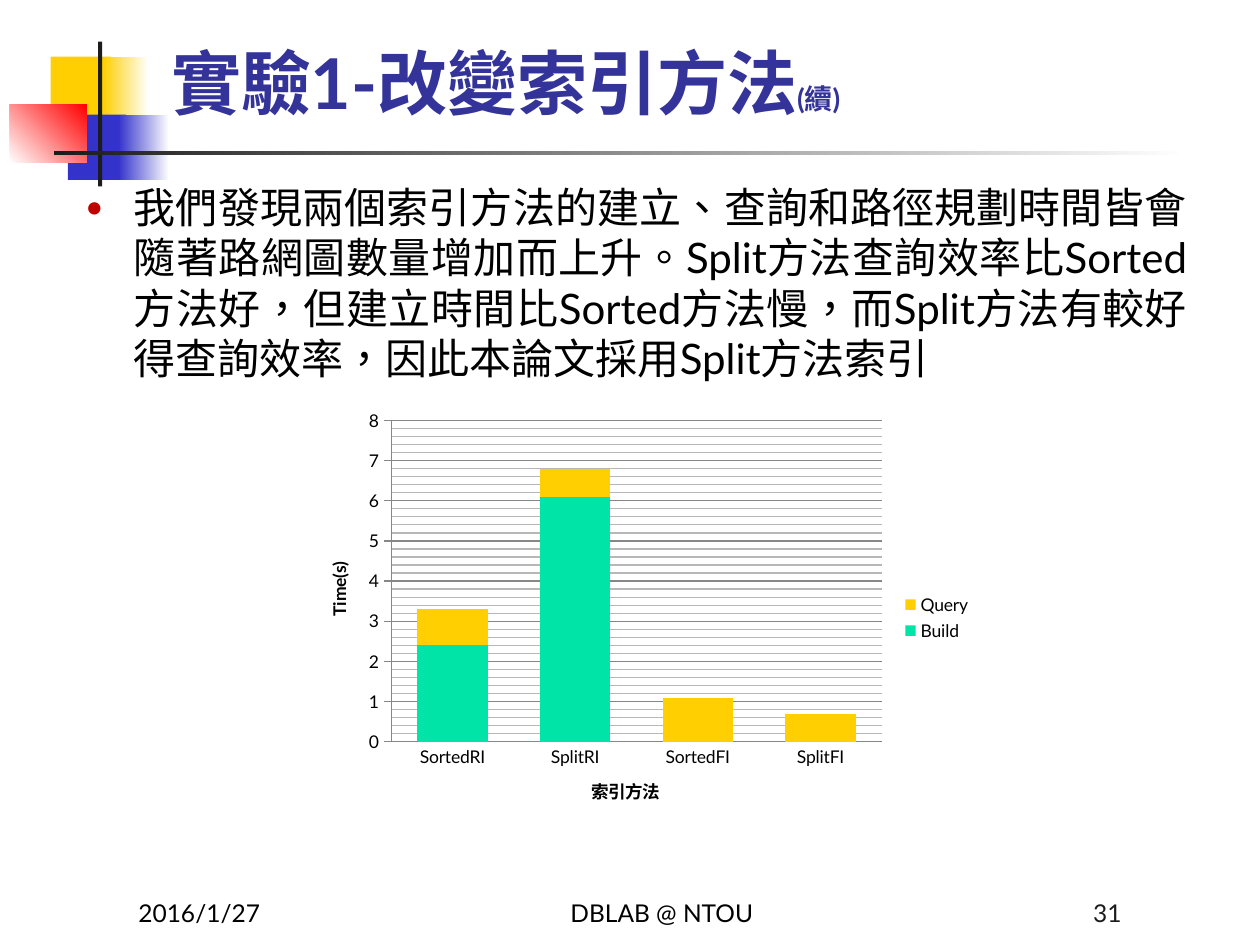
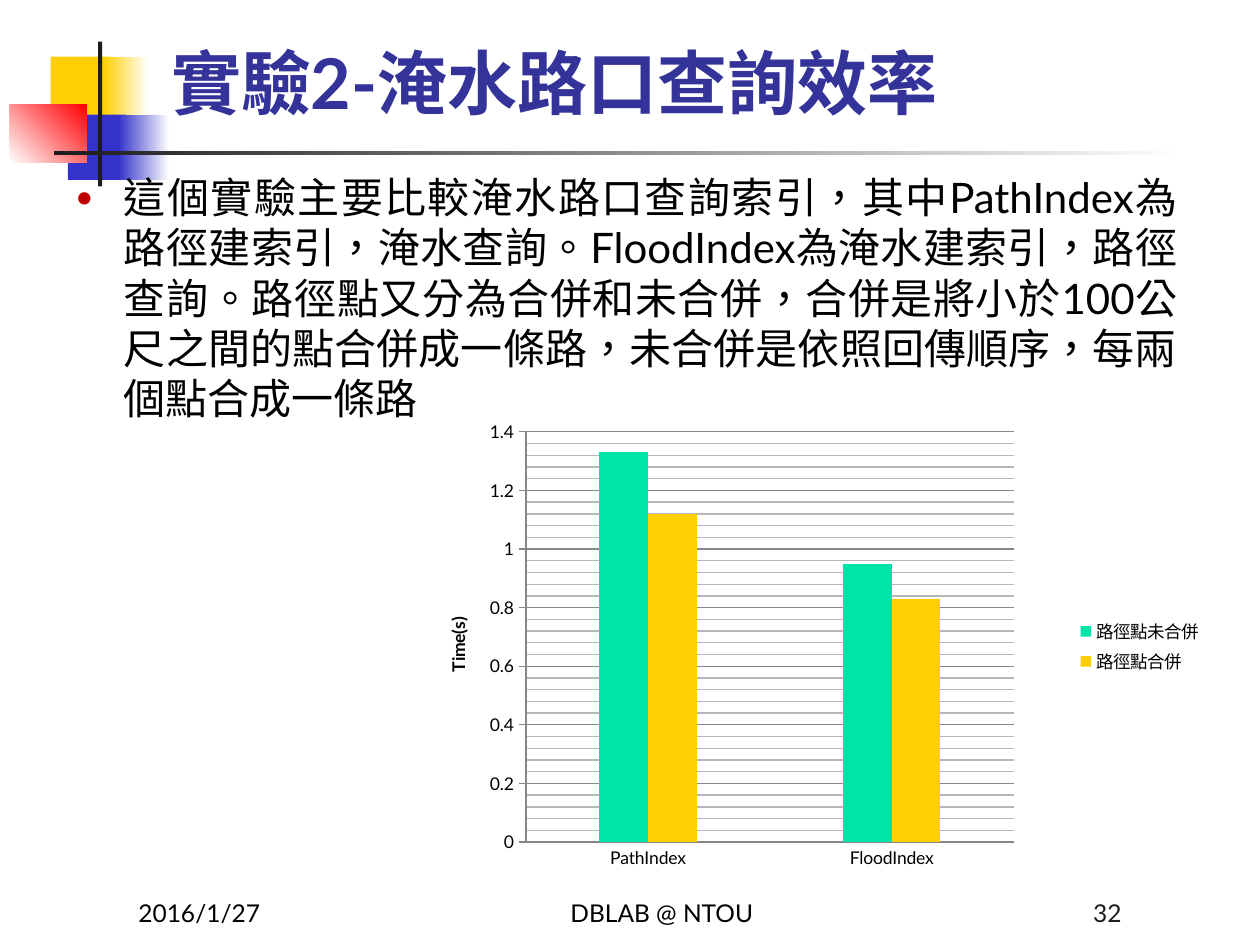
import copy

import lxml.etree
import pptx
import pptx.chart.data
import pptx.dml.color
import pptx.enum.chart
import pptx.enum.shapes
import pptx.enum.text
import pptx.oxml
import pptx.oxml.ns
import pptx.util

Cm = pptx.util.Cm
Pt = pptx.util.Pt
qn = pptx.oxml.ns.qn
ALIGN = pptx.enum.text.PP_ALIGN
ANCHOR = pptx.enum.text.MSO_ANCHOR
CHART = pptx.enum.chart

FONT = "Lato"
CJK_FONT = "Noto Sans CJK TC"
BLACK, INK, WHITE = "000000", "1C1C1C", "FFFFFF"
YELLOW, BLUE, RED, GREEN = "FFCF01", "3333CC", "FF0000", "00E4A8"
TITLE_BLUE, BULLET_RED = "333399", "C00000"
GRID, MINOR_GRID = "878787", "B7B7B7"

TITLE_BOX = (3.2, 0.43, 21.64, 2.18)
FOOTER_BOX = (2.54, 17.55, 20.32, 1.27)
EMBLEM_CORNER = (0.2, 0.84)

EMBLEM_PARTS = [
    (0.82, 0.3, 1.22, 1.32, [YELLOW], 0),
    (1.88, 0.3, 0.91, 1.32, [YELLOW, WHITE], 0),
    (1.17, 1.47, 1.17, 1.32, [BLUE], 0),
    (2.19, 1.47, 1.02, 1.32, [BLUE, WHITE], 0),
    (0, 1.27, 1.55, 1.17, [WHITE, RED], 45),
    (1.78, 0, 0.08, 2.92, [INK], 0),
    (0.89, 2.21, 22.86, 0.08, [INK, WHITE], 0),
]


def rgb(value):
    """Turn a hex string into a colour."""
    return pptx.dml.color.RGBColor.from_string(value)


def style_run(run, size, color, bold=False, font=FONT):
    """Give a run its font, size, colour and language."""
    run.font.name = font
    run.font.size = Pt(size)
    run.font.bold = bold
    run.font.color.rgb = rgb(color)
    properties = run._r.get_or_add_rPr()
    properties.set("lang", "zh-TW")
    east_asian = lxml.etree.Element(qn("a:ea"), typeface=font)
    properties.find(qn("a:latin")).addnext(east_asian)


def add_text(slide, box, pieces, anchor=ANCHOR.TOP, align=ALIGN.LEFT):
    """Add one wrapped paragraph of (text, run style) pieces and return it."""
    frame = slide.shapes.add_textbox(*map(Cm, box)).text_frame
    frame.word_wrap = True
    frame.vertical_anchor = anchor
    paragraph = frame.paragraphs[0]
    paragraph.alignment = align
    for text, style in pieces:
        run = paragraph.add_run()
        run.text = text
        style_run(run, **style)
    return paragraph


def add_emblem(slide, corner):
    """Draw the coloured squares and crossing rules from a corner."""
    for left, top, width, height, colors, angle in EMBLEM_PARTS:
        part = slide.shapes.add_shape(
            pptx.enum.shapes.MSO_SHAPE.RECTANGLE,
            Cm(corner[0] + left), Cm(corner[1] + top), Cm(width), Cm(height))
        part.shadow.inherit = False
        part.line.fill.background()
        if len(colors) == 1:
            part.fill.solid()
            part.fill.fore_color.rgb = rgb(colors[0])
            continue
        part.fill.gradient()
        part.fill.gradient_angle = angle
        for stop, color in zip(part.fill.gradient_stops, colors):
            stop.color.rgb = rgb(color)


def add_title(slide, box, title, suffix=""):
    """Write the heading, with an optional small suffix."""
    pieces = [(title, dict(size=40, color=TITLE_BLUE, bold=True))]
    if suffix:
        pieces.append((suffix, dict(size=16, color=TITLE_BLUE, bold=True)))
    add_text(slide, box, pieces, ANCHOR.BOTTOM)


def add_footer(slide, box, number):
    """Write date, laboratory and page number along the bottom."""
    left, top, width, height = box
    side, middle, middle_offset = 5.28, 8.05, 6.78
    entries = [
        ("2016/1/27", 0, side, ALIGN.LEFT, BLACK),
        ("DBLAB @ NTOU", middle_offset, middle, ALIGN.CENTER, BLACK),
        (str(number), width - side, side, ALIGN.RIGHT, INK),
    ]
    for text, offset, entry_width, align, color in entries:
        add_text(slide, (left + offset, top, entry_width, height),
                 [(text, dict(size=14, color=color))], ANCHOR.BOTTOM, align)


def add_finding(slide, box, texts):
    """Write the justified bullet from (text, font) pairs."""
    pieces = [(text, dict(size=24, color=BLACK, font=font)) for text, font in texts]
    paragraph = add_text(slide, box, pieces, align=ALIGN.JUSTIFY)
    properties = paragraph._p.get_or_add_pPr()
    properties.set("marL", str(Cm(0.95)))
    properties.set("indent", str(Cm(-0.95)))
    bullet_color = lxml.etree.SubElement(properties, qn("a:buClr"))
    lxml.etree.SubElement(bullet_color, qn("a:srgbClr"), val=BULLET_RED)
    lxml.etree.SubElement(properties, qn("a:buSzPct"), val="60000")
    lxml.etree.SubElement(properties, qn("a:buFont"), typeface=FONT)
    lxml.etree.SubElement(properties, qn("a:buChar"), char="●")


def title_axis(axis, title):
    """Label an axis in small bold type."""
    paragraph = axis.axis_title.text_frame.paragraphs[0]
    run = paragraph.add_run()
    run.text = title
    style_run(run, 10, BLACK, bold=True)


def color_minor_gridlines(axis, color):
    """Style the minor gridlines like the major ones in another colour."""
    major = axis._element.find(qn("c:majorGridlines"))
    minor = axis._element.find(qn("c:minorGridlines"))
    minor.append(copy.deepcopy(major.find(qn("c:spPr"))))
    next(minor.iter(qn("a:srgbClr"))).set("val", color)


def place_plot(chart, plot_box):
    """Fix the inner plot area as fractions of the chart."""
    area = chart._chartSpace.chart.plotArea
    for old in area.findall(qn("c:layout")):
        area.remove(old)
    layout = lxml.etree.Element(qn("c:layout"))
    manual = lxml.etree.SubElement(layout, qn("c:manualLayout"))
    settings = [("layoutTarget", "inner"), ("xMode", "edge"), ("yMode", "edge")]
    settings += zip("xywh", map(str, plot_box))
    for tag, value in settings:
        lxml.etree.SubElement(manual, qn("c:" + tag), val=value)
    area.insert(0, layout)


def add_timing_chart(slide, box, kind, categories, series, gap, overlap,
                     top_value, step, plot_box, category_title=""):
    """Draw a column chart of times in seconds."""
    data = pptx.chart.data.CategoryChartData()
    data.categories = categories
    for name, values, _ in series:
        data.add_series(name, values)
    chart = slide.shapes.add_chart(kind, *map(Cm, box), data).chart
    chart.has_title = False
    chart.font.name = FONT
    chart.font.size = Pt(10)
    chart.font.color.rgb = rgb(BLACK)
    chart.has_legend = True
    chart.legend.position = CHART.XL_LEGEND_POSITION.RIGHT
    chart.legend.include_in_layout = False

    plot = chart.plots[0]
    plot.gap_width, plot.overlap = gap, overlap
    plot.vary_by_categories = False
    for column, (_, _, color) in zip(plot.series, series):
        column.format.fill.solid()
        column.format.fill.fore_color.rgb = rgb(color)

    times, methods = chart.value_axis, chart.category_axis
    times.minimum_scale, times.maximum_scale = 0, top_value
    times.major_unit, times.minor_unit = step, step / 5
    times.has_major_gridlines = times.has_minor_gridlines = True
    times.major_tick_mark = CHART.XL_TICK_MARK.OUTSIDE
    times.tick_labels.number_format = "General"
    times.tick_labels.number_format_is_linked = False
    methods.major_tick_mark = CHART.XL_TICK_MARK.NONE
    for ruled in (times, methods, times.major_gridlines):
        ruled.format.line.color.rgb = rgb(GRID)
        ruled.format.line.width = Pt(0.75)
    color_minor_gridlines(times, MINOR_GRID)
    title_axis(times, "Time(s)")
    if category_title:
        title_axis(methods, category_title)
    place_plot(chart, plot_box)


def add_experiment(deck, number, title, suffix, finding_box, finding, chart):
    """Build one experiment slide."""
    slide = deck.slides.add_slide(deck.slide_layouts[6])
    add_emblem(slide, EMBLEM_CORNER)
    add_title(slide, TITLE_BOX, title, suffix)
    add_finding(slide, finding_box, finding)
    add_footer(slide, FOOTER_BOX, number)
    add_timing_chart(slide, **chart)


def main():
    """Build and save the deck."""
    deck = pptx.Presentation()
    deck.slide_width, deck.slide_height = Cm(25.4), Cm(19.05)
    add_experiment(
        deck, 31, "實驗1-改變索引方法", "(續)", (1.5, 3.53, 22.68, 13.77),
        [("我們發現兩個索引方法的建立", FONT), ("、", CJK_FONT),
         ("查詢和路徑規劃時間皆會隨著路網圖數量增加而上升。"
          "Split方法查詢效率比Sorted方法好，但建立時間比Sorted方法慢，"
          "而Split方法有較好得查詢效率，因此本論文採用Split方法索引", FONT)],
        dict(box=(6.1, 8.13, 13.74, 8.64),
             kind=CHART.XL_CHART_TYPE.COLUMN_STACKED,
             categories=["SortedRI", "SplitRI", "SortedFI", "SplitFI"],
             series=[("Build", [2.4, 6.1, 0, 0], GREEN),
                     ("Query", [0.9, 0.7, 1.1, 0.7], YELLOW)],
             gap=75, overlap=100, top_value=8, step=1,
             plot_box=(0.13, 0.04, 0.72, 0.75), category_title="索引方法"))
    add_experiment(
        deck, 32, "實驗2-淹水路口查詢效率", "", (1.3, 3.33, 22.68, 13.77),
        [("這個實驗主要比較淹水路口查詢索引，其中PathIndex為路徑建索引，淹水查詢。"
          "FloodIndex為淹水建索引，路徑查詢。路徑點又分為合併和未合併，"
          "合併是將小於100公尺之間的點合併成一條路，"
          "未合併是依照回傳順序，每兩個點合成一條路", FONT)],
        dict(box=(8.89, 8.33, 15.6, 9.4),
             kind=CHART.XL_CHART_TYPE.COLUMN_CLUSTERED,
             categories=["PathIndex", "FloodIndex"],
             series=[("路徑點未合併", [1.33, 0.95], GREEN),
                     ("路徑點合併", [1.12, 0.83], YELLOW)],
             gap=300, overlap=0, top_value=1.4, step=0.2,
             plot_box=(0.11, 0.04, 0.63, 0.88)))
    deck.save("out.pptx")


if __name__ == "__main__":
    main()
